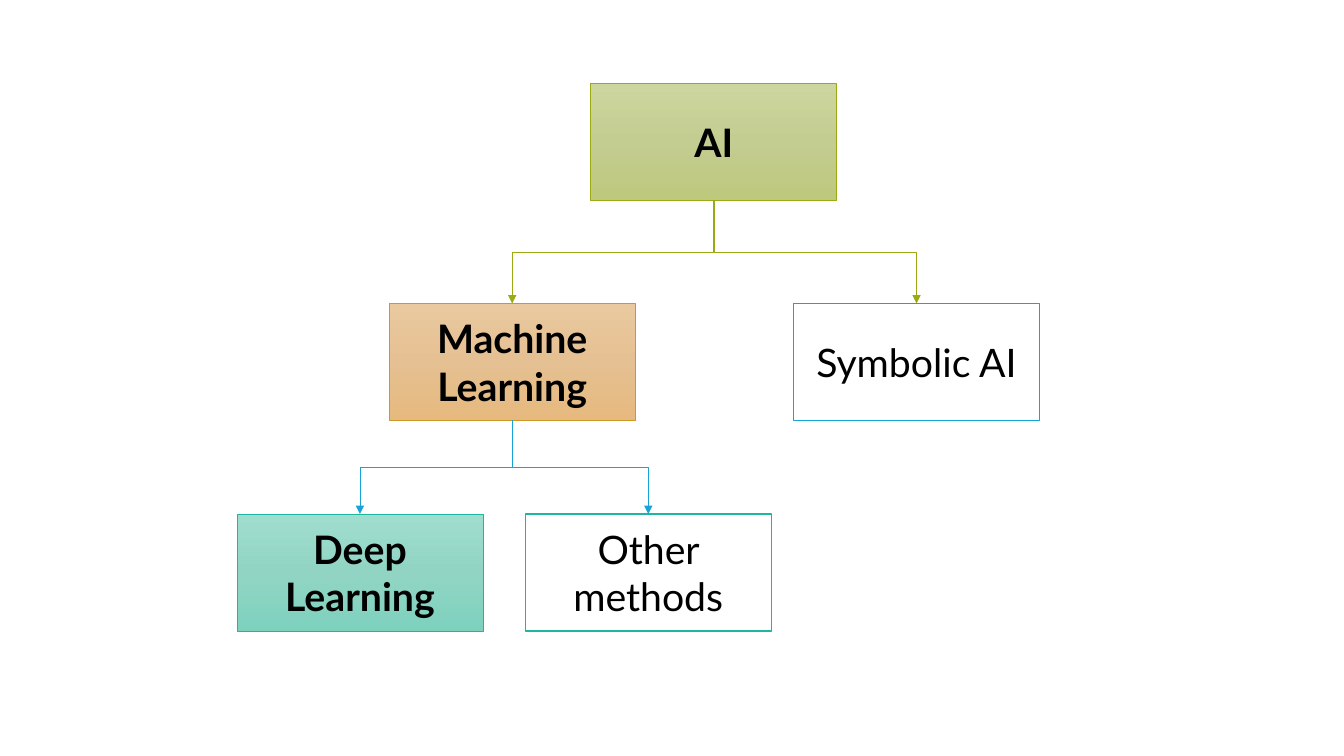
from copy import deepcopy

from pptx import Presentation
from pptx.dml.color import RGBColor
from pptx.enum import shapes, text
from pptx.oxml.ns import qn
from pptx.util import Inches, Pt
from lxml import etree

BLACK = RGBColor(0x00, 0x00, 0x00)
WHITE = RGBColor(0xFF, 0xFF, 0xFF)
OLIVE = RGBColor(0x9B, 0xA9, 0x12)
AMBER = RGBColor(0xCE, 0x98, 0x25)
TEAL = RGBColor(0x20, 0xB5, 0x9D)
BLUE = RGBColor(0x17, 0xA3, 0xD5)
OLIVE_FADE = [RGBColor(0xCD, 0xD6, 0x9E), RGBColor(0xC3, 0xCC, 0x91), RGBColor(0xBD, 0xC9, 0x7C)]
AMBER_FADE = [RGBColor(0xEA, 0xC9, 0xA0), RGBColor(0xE5, 0xC0, 0x92), RGBColor(0xE6, 0xB9, 0x7E)]
TEAL_FADE = [RGBColor(0x9F, 0xDE, 0xCE), RGBColor(0x92, 0xD4, 0xC4), RGBColor(0x7D, 0xD2, 0xBE)]

FONT = "Lato"
BOX_WIDTH, BOX_HEIGHT = 2.44, 1.16
ROW_TOPS = [0.83, 3.01, 5.1]

# Label, left, row, line colour, gradient (None for a plain white box)
TOPICS = [
    ("AI", 5.86, 0, OLIVE, OLIVE_FADE),
    ("Machine Learning", 3.86, 1, AMBER, AMBER_FADE),
    ("Deep Learning", 2.35, 2, TEAL, TEAL_FADE),
    ("Symbolic AI", 7.87, 1, BLUE, None),
    ("Other methods", 5.21, 2, TEAL, None),
]
# Parent, child, colour
BRANCHES = [
    ("AI", "Machine Learning", OLIVE),
    ("AI", "Symbolic AI", OLIVE),
    ("Machine Learning", "Deep Learning", BLUE),
    ("Machine Learning", "Other methods", BLUE),
]


def fill_gradient(fill, colors):
    """Blend evenly spaced colours from top to bottom."""
    fill.gradient()
    fill.gradient_angle = 270
    first = fill.gradient_stops[0]._gs
    first.addnext(deepcopy(first))
    for index, (stop, color) in enumerate(zip(fill.gradient_stops, colors)):
        stop.position = index / (len(colors) - 1)
        stop.color.rgb = color


def add_topic(slide, label, left, row, line_color, fade):
    box = slide.shapes.add_shape(
        shapes.MSO_SHAPE.RECTANGLE, Inches(left), Inches(ROW_TOPS[row]),
        Inches(BOX_WIDTH), Inches(BOX_HEIGHT))
    box.shadow.inherit = False
    if fade:
        fill_gradient(box.fill, fade)
    else:
        box.fill.solid()
        box.fill.fore_color.rgb = WHITE
    box.line.color.rgb = line_color
    box.line.width = Pt(0.5 if fade else 1)

    frame = box.text_frame
    frame.word_wrap = True
    frame.vertical_anchor = text.MSO_ANCHOR.MIDDLE
    para = frame.paragraphs[0]
    para.text = label
    para.alignment = text.PP_ALIGN.CENTER
    para.font.name = FONT
    para.font.size = Pt(28)
    para.font.bold = bool(fade)
    para.font.color.rgb = BLACK
    return box


def add_branch(slide, parent, child, color):
    start_x, start_y = parent.left + parent.width // 2, parent.top + parent.height
    end_x, end_y = child.left + child.width // 2, child.top
    branch = slide.shapes.add_connector(
        shapes.MSO_CONNECTOR.ELBOW, start_x, start_y, end_x, end_y)
    branch.begin_connect(parent, 2)
    branch.end_connect(child, 0)

    # Turn the elbow so that it leaves downwards
    drop, spread = end_y - start_y, abs(end_x - start_x)
    branch.left = (start_x + end_x - drop) // 2
    branch.top = (start_y + end_y - spread) // 2
    branch.width, branch.height = drop, spread
    to_right = end_x > start_x
    properties = branch._element.spPr
    frame = properties.find(qn("a:xfrm"))
    frame.set("rot", str((270 if to_right else 90) * 60000))
    frame.set("flipH", "1" if to_right else "0")

    # Line, arrowhead and no shadow
    branch.line.color.rgb = color
    branch.line.width = Pt(0.5)
    etree.SubElement(properties.find(qn("a:ln")), qn("a:tailEnd"), type="triangle")
    etree.SubElement(properties, qn("a:effectLst"))


def main():
    deck = Presentation()
    deck.slide_width, deck.slide_height = Inches(13.33), Inches(7.5)
    slide = deck.slides.add_slide(deck.slide_layouts[6])
    boxes = {topic[0]: add_topic(slide, *topic) for topic in TOPICS}
    for parent, child, color in BRANCHES:
        add_branch(slide, boxes[parent], boxes[child], color)
    deck.save("out.pptx")


if __name__ == "__main__":
    main()
